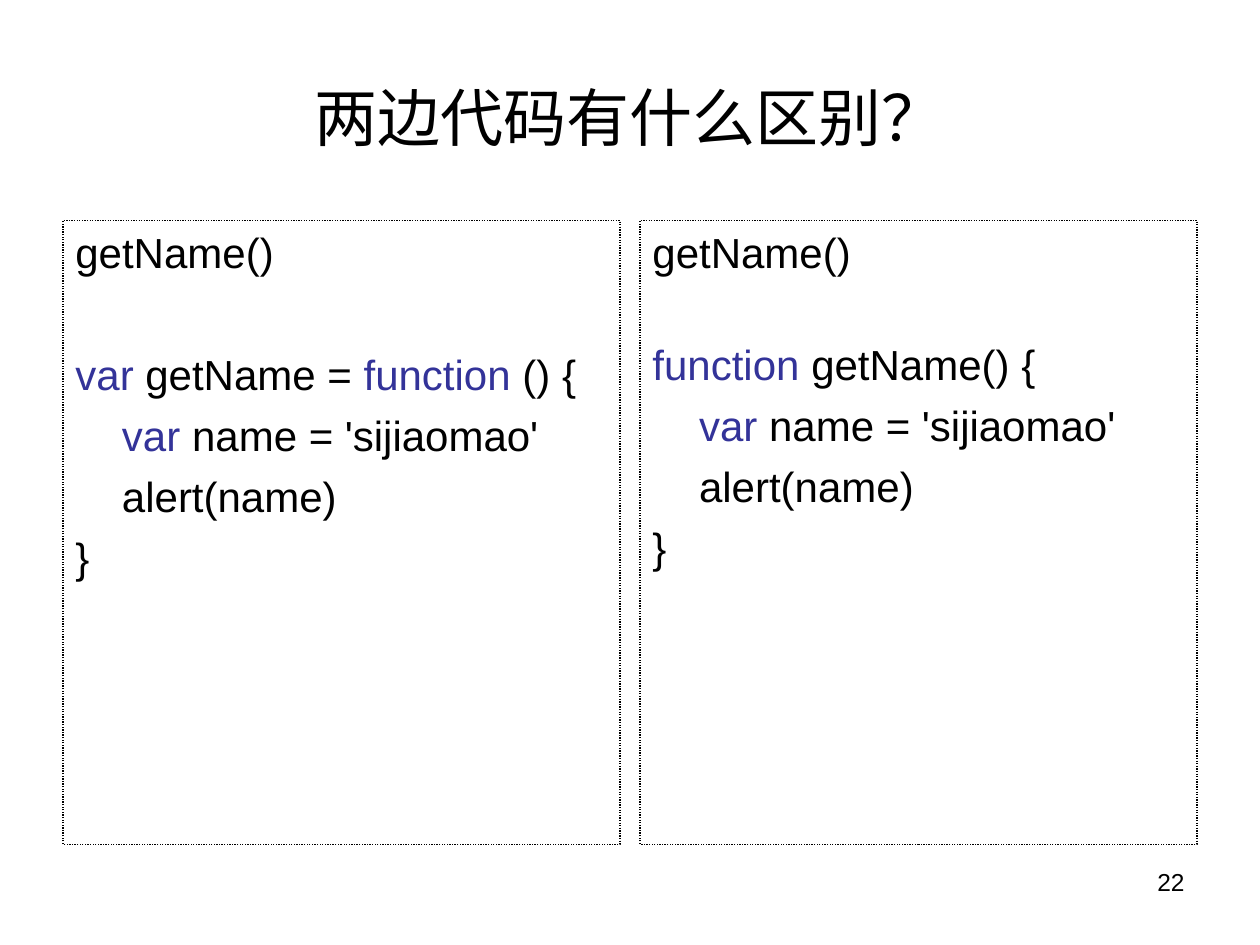
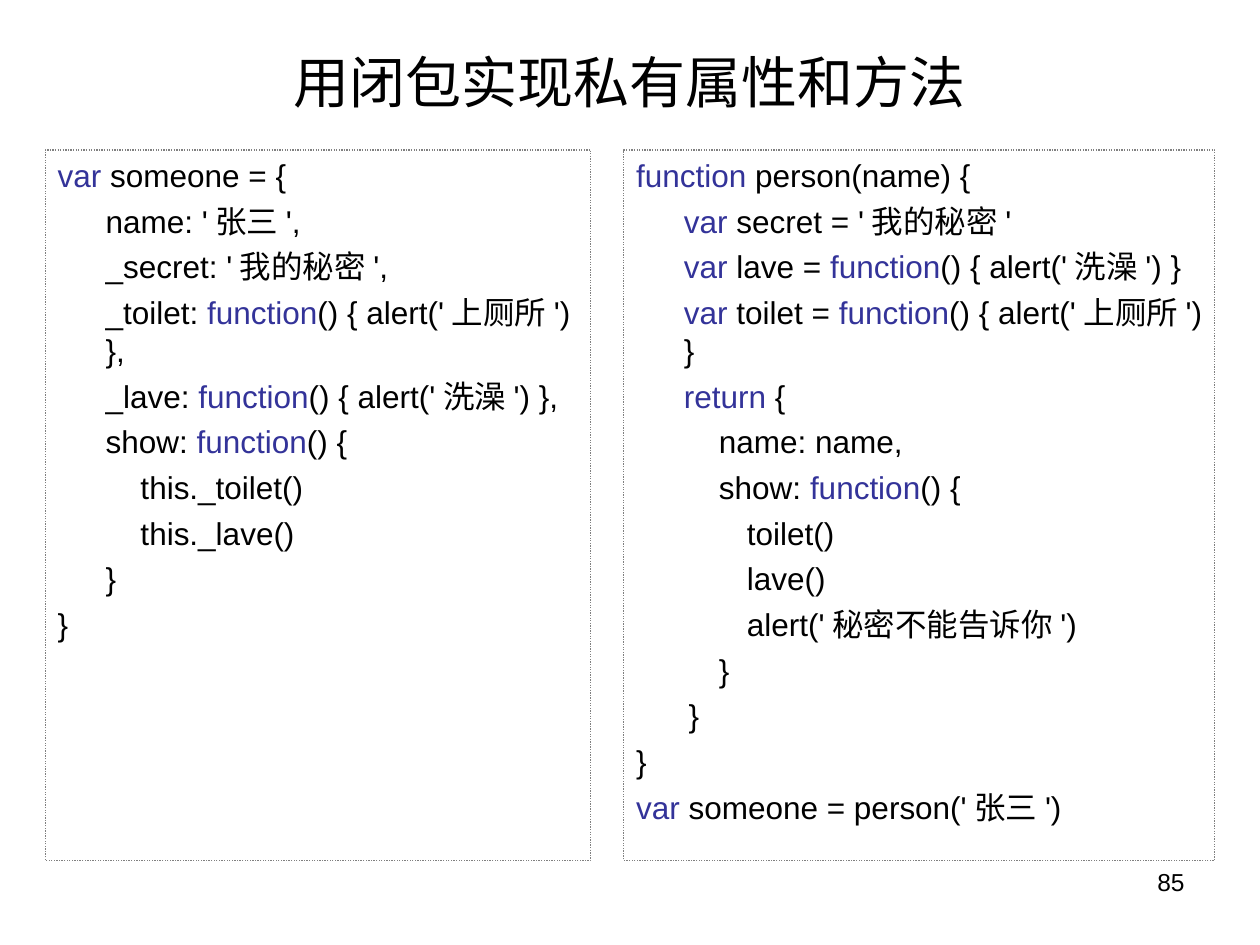
"""Build two slides that compare JavaScript code side by side."""
from lxml import etree
from pptx import Presentation
from pptx.dml.color import RGBColor
from pptx.enum.dml import MSO_LINE
from pptx.enum.shapes import MSO_SHAPE
from pptx.enum.text import MSO_ANCHOR, PP_ALIGN
from pptx.oxml.ns import qn
from pptx.util import Inches, Pt

BLACK = RGBColor(0x00, 0x00, 0x00)
GRAY = RGBColor(0x80, 0x80, 0x80)
KEYWORD_BLUE = RGBColor(0x33, 0x33, 0x99)
WHITE = RGBColor(0xFF, 0xFF, 0xFF)
FONT = "Arial"
INDENT = Inches(0.38)

EXPRESSION_CODE = """getName()

|var |getName = |function |() {
|    var |name = 'sijiaomao'
    alert(name)
}"""

DECLARATION_CODE = """getName()

|function |getName() {
|    var |name = 'sijiaomao'
    alert(name)
}"""

OBJECT_CODE = """|var| someone = {
\tname: '张三',
\t_secret: '我的秘密',
\t_toilet: |function|() { alert('上厕所') },
\t_lave: |function|() { alert('洗澡') },
\tshow: |function|() {
\t    this._toilet()
\t    this._lave()
\t}
}"""

CLOSURE_CODE = """|function| person(name) {
\t|var| secret = '我的秘密'
\t|var| lave = |function|() { alert('洗澡') }
\t|var| toilet = |function|() { alert('上厕所') }
\t|return |{
\t    name: name,
\t    show: |function|() {
\t\ttoilet()
\t\tlave()
\t\talert('秘密不能告诉你')
\t    }
      }
}
|var| someone = person('张三')"""

SLIDES = [
    {"title": "两边代码有什么区别？", "title_height": 1.25, "title_size": 36,
     "number": "22", "top": 1.75, "height": 4.95, "border": BLACK,
     "code_size": 24, "spacing": 6,
     "panels": [(0.5, 4.42, EXPRESSION_CODE, 41), (5.08, 4.42, DECLARATION_CODE, 35)]},
    {"title": "用闭包实现私有属性和方法", "title_height": 0.68, "title_size": 32,
     "number": "85", "top": 1.19, "height": 5.64, "border": GRAY,
     "code_size": 18, "spacing": 4.5,
     "panels": [(0.36, 4.33, OBJECT_CODE, 0), (4.95, 4.69, CLOSURE_CODE, 0)]},
]


def style_span(span, size, color=BLACK):
    span.font.name = FONT
    span.font.size = Pt(size)
    span.font.color.rgb = color


def add_label(page, bounds, text, size, alignment, anchor):
    box = page.shapes.add_textbox(*(Inches(value) for value in bounds))
    box.text_frame.word_wrap = True
    box.text_frame.vertical_anchor = anchor
    box.text_frame.text = text
    para = box.text_frame.paragraphs[0]
    para.alignment = alignment
    style_span(para.runs[0], size)


deck = Presentation()
deck.slide_width = Inches(10)
deck.slide_height = Inches(7.5)

for content in SLIDES:
    page = deck.slides.add_slide(deck.slide_layouts[6])
    page.background.fill.solid()
    page.background.fill.fore_color.rgb = WHITE
    add_label(page, (0.5, 0.3, 9, content["title_height"]), content["title"],
              content["title_size"], PP_ALIGN.CENTER, MSO_ANCHOR.MIDDLE)

    for left, width, code, gap in content["panels"]:
        panel = page.shapes.add_shape(
            MSO_SHAPE.RECTANGLE, Inches(left), Inches(content["top"]),
            Inches(width), Inches(content["height"]))
        panel.shadow.inherit = False
        panel.fill.background()
        panel.line.color.rgb = content["border"]
        panel.line.width = Pt(0.75)
        panel.line.dash_style = MSO_LINE.ROUND_DOT
        frame = panel.text_frame
        frame.word_wrap = True
        frame.vertical_anchor = MSO_ANCHOR.TOP

        space = 0
        for line in code.split("\n"):
            if not line:
                space = gap
                continue
            para = frame.add_paragraph() if frame.text else frame.paragraphs[0]
            para.alignment = PP_ALIGN.LEFT
            para.space_before = Pt(space)
            space = content["spacing"]
            properties = para._p.get_or_add_pPr()
            properties.set("marL", str(INDENT))
            properties.set("indent", str(-INDENT))
            tabs = etree.SubElement(properties, qn("a:tabLst"))
            for stop in range(8):
                etree.SubElement(tabs, qn("a:tab"), pos=str(Inches(stop)), algn="l")
            for index, piece in enumerate(line.split("|")):
                if piece:
                    span = para.add_run()
                    span.text = piece
                    style_span(span, content["code_size"],
                               KEYWORD_BLUE if index % 2 else BLACK)

    add_label(page, (7.17, 6.83, 2.33, 0.52), content["number"], 14,
              PP_ALIGN.RIGHT, MSO_ANCHOR.TOP)

deck.save("out.pptx")
